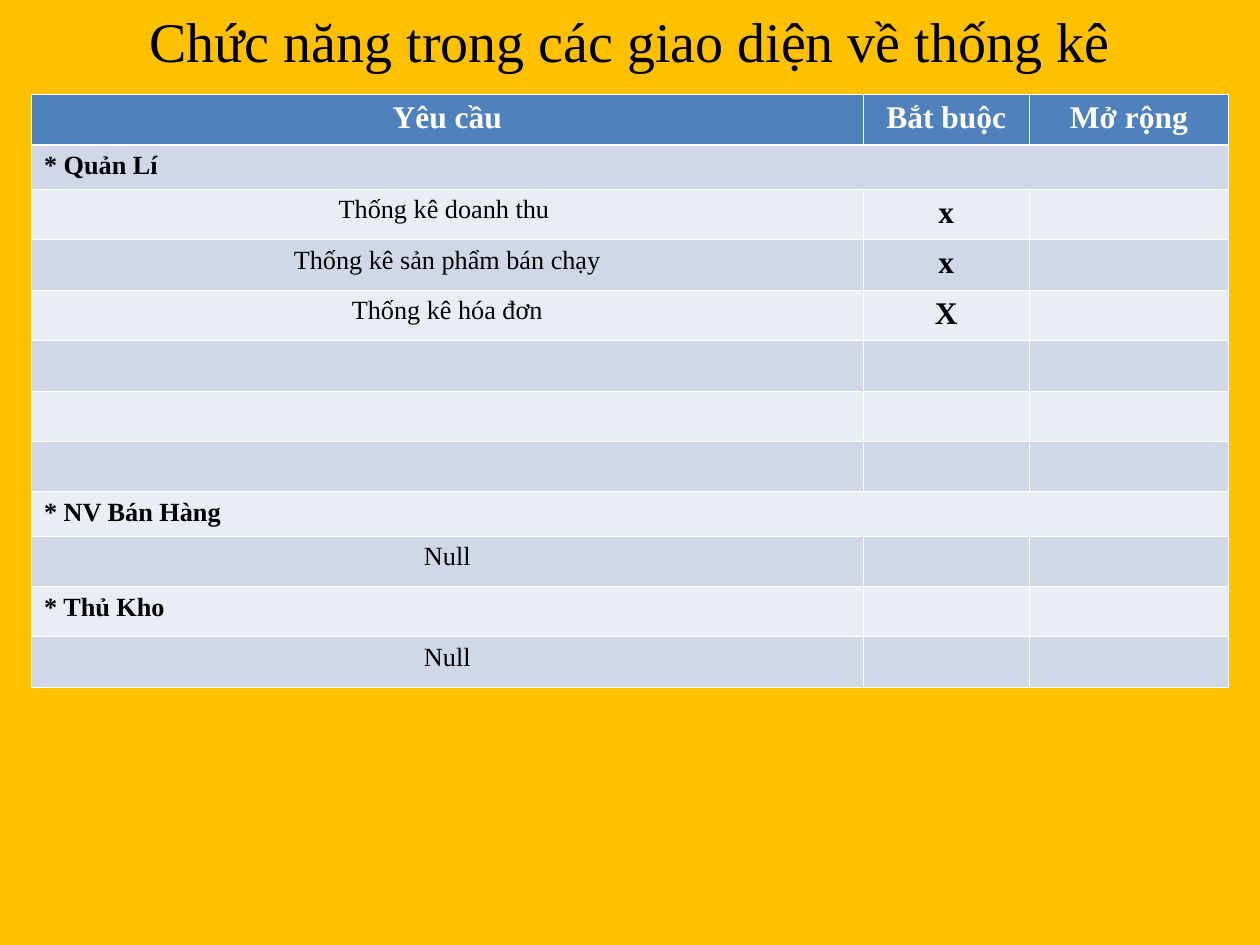
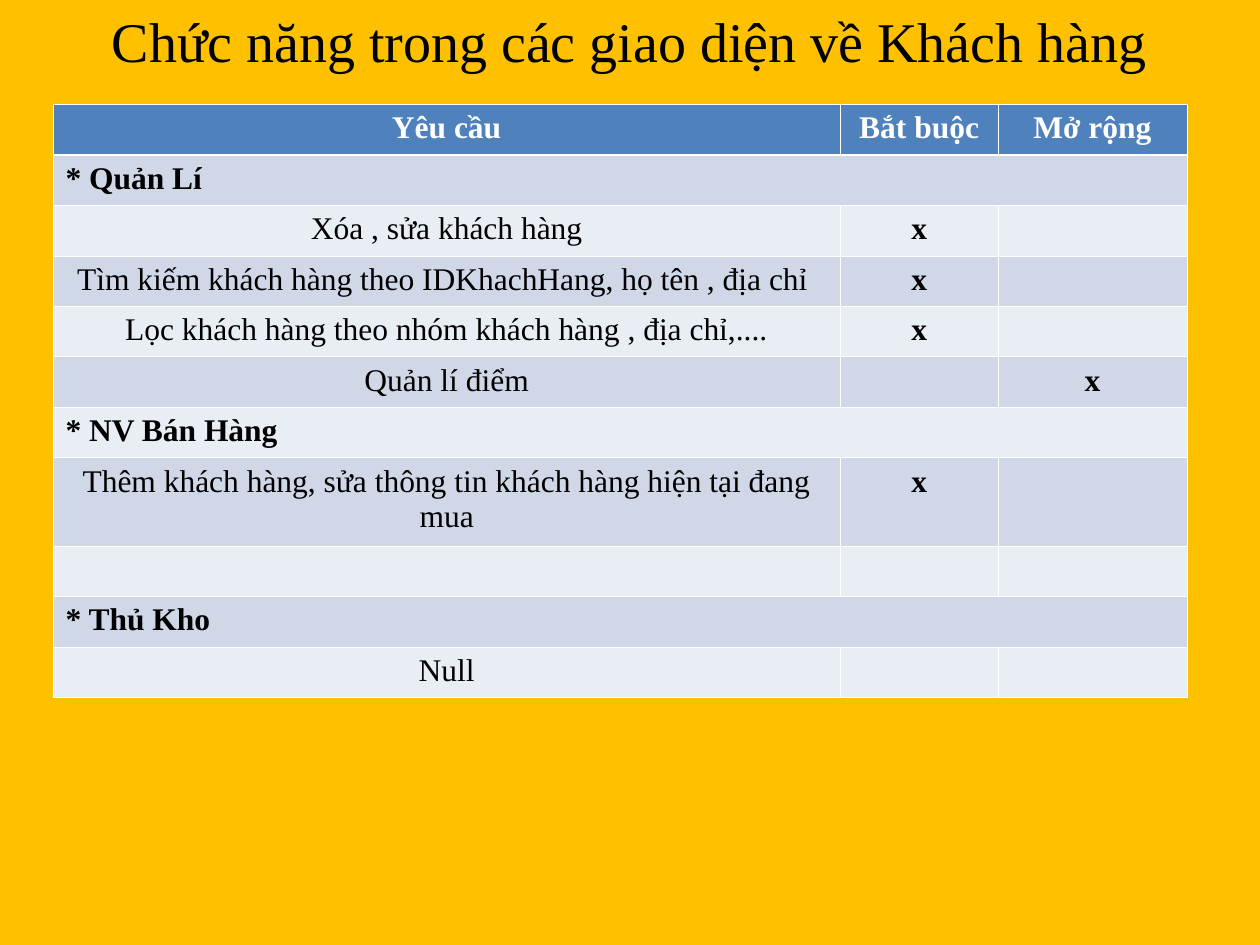
import dataclasses
import pptx
import pptx.util
import pptx.dml.color
import pptx.enum.text
import pptx.oxml
import pptx.oxml.ns

Inches = pptx.util.Inches
Align = pptx.enum.text.PP_ALIGN


@dataclasses.dataclass(frozen=True)
class Theme:
    back: str = "FFC000"
    head: str = "4F81BD"
    bands: tuple = ("E9EDF4", "D0D8E8")
    ink: str = "000000"
    white: str = "FFFFFF"
    font: str = "Times New Roman"
    title: int = 32
    large: int = 18
    small: int = 15
    thin: float = 0.45
    thick: float = 1.47


THEME = Theme()
HEADS = ("Yêu cầu", "Bắt buộc", "Mở rộng")


def color(code):
    return pptx.dml.color.RGBColor.from_string(code)


def write(frame, text, size=THEME.large, ink=THEME.ink, bold=False, align=Align.CENTER):
    frame.word_wrap = True
    par = frame.paragraphs[0]
    par.alignment = align
    run = par.add_run()
    run.text = text
    font = run.font
    font.name = THEME.font
    font.size = pptx.util.Pt(size)
    font.bold = bold
    font.color.rgb = color(ink)


def border(cell, row):
    props = cell._tc.get_or_add_tcPr()
    widths = dict.fromkeys("LRTB", THEME.thin)
    if row == 0:
        widths["B"] = THEME.thick
    elif row == 1:
        widths["T"] = THEME.thick
    for side, width in widths.items():
        props.append(pptx.oxml.parse_xml(
            f'<a:ln{side} {pptx.oxml.ns.nsdecls("a")} w="{pptx.util.Pt(width)}">'
            f'<a:solidFill><a:srgbClr val="{THEME.white}"/></a:solidFill></a:ln{side}>'))


def add_title(slide, text, box):
    frame = slide.shapes.add_textbox(*map(Inches, box)).text_frame
    write(frame, text, size=THEME.title)
    frame.auto_size = pptx.enum.text.MSO_AUTO_SIZE.SHAPE_TO_FIT_TEXT


def add_grid(slide, box, widths, rows, size, heights):
    rows = [HEADS, *rows]
    shape = slide.shapes.add_table(len(rows), len(HEADS), *map(Inches, box))
    table = shape.table
    for column, width in zip(table.columns, widths):
        column.width = Inches(width)
    for r, texts in enumerate(rows):
        table.rows[r].height = Inches(heights.get(r, 0.4))
        for c in range(len(HEADS)):
            cell = table.cell(r, c)
            border(cell, r)
            cell.fill.solid()
            cell.fill.fore_color.rgb = color(THEME.bands[r % 2] if r else THEME.head)
        if len(texts) == 1:
            table.cell(r, 0).merge(table.cell(r, len(HEADS) - 1))
        for c, text in enumerate(texts):
            if not text:
                continue
            group = text.startswith("*")
            write(table.cell(r, c).text_frame, text,
                  size=size if r and c == 0 else THEME.large,
                  ink=THEME.ink if r else THEME.white,
                  bold=r == 0 or c > 0 or group,
                  align=Align.LEFT if group else Align.CENTER)


def add_page(deck, title, **grid):
    slide = deck.slides.add_slide(deck.slide_layouts[6])
    add_title(slide, title, (0, 0, 10, 0.64))
    add_grid(slide, **grid)


def main():
    deck = pptx.Presentation()
    deck.slide_width, deck.slide_height = Inches(10), Inches(7.5)
    fill = deck.slide_master.background.fill
    fill.solid()
    fill.fore_color.rgb = color(THEME.back)
    blank = ("", "", "")
    add_page(
        deck, "Chức năng trong các giao diện về thống kê",
        box=(0.25, 0.75, 9.5, 4.7), widths=(6.6, 1.32, 1.58),
        size=THEME.small, heights={1: 0.35, 8: 0.35},
        rows=[
            ("* Quản Lí",),
            ("Thống kê doanh thu ", "x", ""),
            ("Thống kê sản phẩm bán chạy", "x", ""),
            ("Thống kê hóa đơn", "X", ""),
            blank, blank, blank,
            ("* NV Bán Hàng",),
            ("Null", "", ""),
            ("* Thủ Kho", "", ""),
            ("Null", "", ""),
        ])
    add_page(
        deck, "Chức năng trong các giao diện về Khách hàng",
        box=(0.42, 0.83, 9, 4.7), widths=(6.25, 1.25, 1.5),
        size=THEME.large, heights={7: 0.7},
        rows=[
            ("* Quản Lí",),
            ("Xóa , sửa khách hàng", "x", ""),
            ("Tìm kiếm khách hàng theo IDKhachHang, họ tên , địa chỉ ", "x", ""),
            ("Lọc khách hàng theo nhóm khách hàng , địa chỉ,....", "x", ""),
            ("Quản lí điểm", "", "x"),
            ("* NV Bán Hàng",),
            ("Thêm khách hàng, sửa thông tin khách hàng hiện tại đang mua", "x", ""),
            blank,
            ("* Thủ Kho",),
            ("Null", "", ""),
        ])
    deck.save("out.pptx")


if __name__ == "__main__":
    main()
